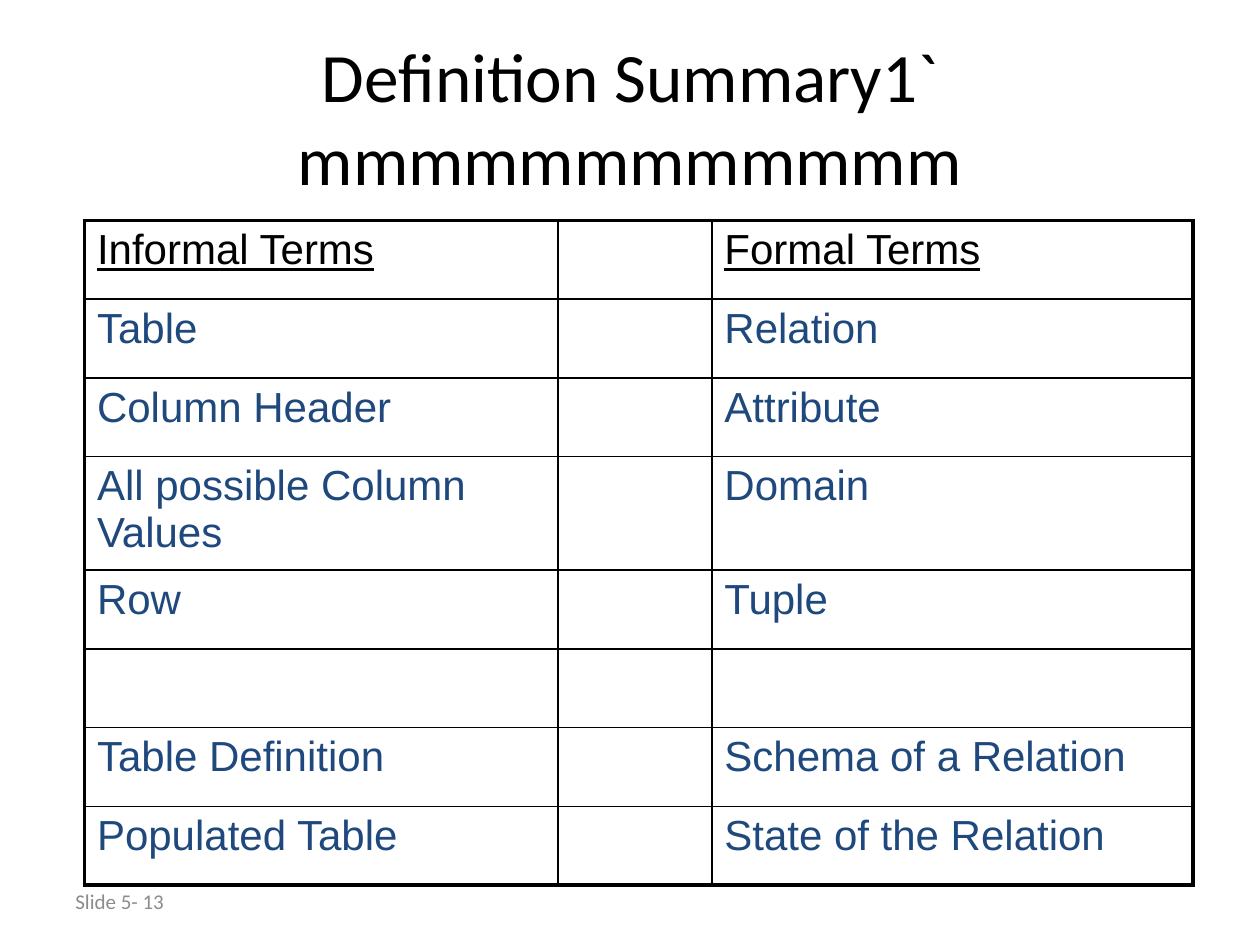
"""Build a slide that pairs informal and formal relational terms in a table."""
from lxml import etree
from pptx import Presentation
from pptx.dml.color import RGBColor
from pptx.enum.text import MSO_ANCHOR, PP_ALIGN
from pptx.oxml.ns import qn
from pptx.util import Inches, Pt

BLACK = RGBColor(0x00, 0x00, 0x00)
NAVY = RGBColor(0x1F, 0x49, 0x7D)
GRAY = RGBColor(0x8C, 0x8C, 0x8C)
MIDDLE = MSO_ANCHOR.MIDDLE
LEFT, CENTER = PP_ALIGN.LEFT, PP_ALIGN.CENTER
THIN, THICK = Pt(1), Pt(2.25)

TERMS = [
    ("Informal Terms", "", "Formal Terms"),
    ("Table", "", "Relation"),
    ("Column Header", "", "Attribute"),
    ("All possible Column Values", "", "Domain"),
    ("Row", "", "Tuple"),
    ("", "", ""),
    ("Table Definition", "", "Schema of a Relation"),
    ("Populated Table", "", "State of the Relation"),
]
COLUMN_WIDTHS = [3.76, 1.22, 3.82]
ROW_HEIGHT, TALL_ROW_HEIGHT, TALL_ROW = 0.625, 0.85, 3


def write_text(para, text, color, formats):
    span = para.add_run()
    span.text = text
    span.font.color.rgb = color
    for name, value in formats.items():
        setattr(span.font, name, value)


def draw_border(cell, side, width):
    line = etree.SubElement(cell._tc.get_or_add_tcPr(), qn(f"a:ln{side}"), w=str(width))
    fill = etree.SubElement(line, qn("a:solidFill"))
    etree.SubElement(fill, qn("a:srgbClr"), val=str(BLACK))


deck = Presentation()
deck.slide_width, deck.slide_height = Inches(10), Inches(7.5)
page = deck.slides.add_slide(deck.slide_layouts[6])

captions = [
    ("Slide 5- 13", (0.5, 6.95, 2.33, 0.4), LEFT, GRAY, 12),
    ("Definition Summary1` mmmmmmmmmmmm", (0.5, 0.3, 9, 1.25), CENTER, BLACK, 39.6),
]
for text, place, alignment, color, size in captions:
    box = page.shapes.add_textbox(*map(Inches, place))
    box.text_frame.word_wrap = True
    box.text_frame.vertical_anchor = MIDDLE
    para = box.text_frame.paragraphs[0]
    para.alignment = alignment
    write_text(para, text, color, {"name": "Calibri", "size": Pt(size)})

last_row, last_column = len(TERMS) - 1, len(COLUMN_WIDTHS) - 1
table = page.shapes.add_table(
    len(TERMS), len(COLUMN_WIDTHS), Inches(0.67), Inches(1.75), Inches(8.8), Inches(5.23)
).table
table.first_row = table.horz_banding = False
for column, width in zip(table.columns, COLUMN_WIDTHS):
    column.width = Inches(width)

for row_index, terms in enumerate(TERMS):
    height = TALL_ROW_HEIGHT if row_index == TALL_ROW else ROW_HEIGHT
    table.rows[row_index].height = Inches(height)
    is_header = row_index == 0
    for column_index, term in enumerate(terms):
        cell = table.cell(row_index, column_index)
        outer_edges = {
            "L": column_index == 0,
            "R": column_index == last_column,
            "T": is_header,
            "B": row_index == last_row,
        }
        for side, is_outer in outer_edges.items():
            draw_border(cell, side, THICK if is_outer else THIN)
        cell.fill.background()
        if term:
            formats = {"name": "Arial", "size": Pt(24), "underline": is_header}
            color = BLACK if is_header else NAVY
            write_text(cell.text_frame.paragraphs[0], term, color, formats)

deck.save("out.pptx")
